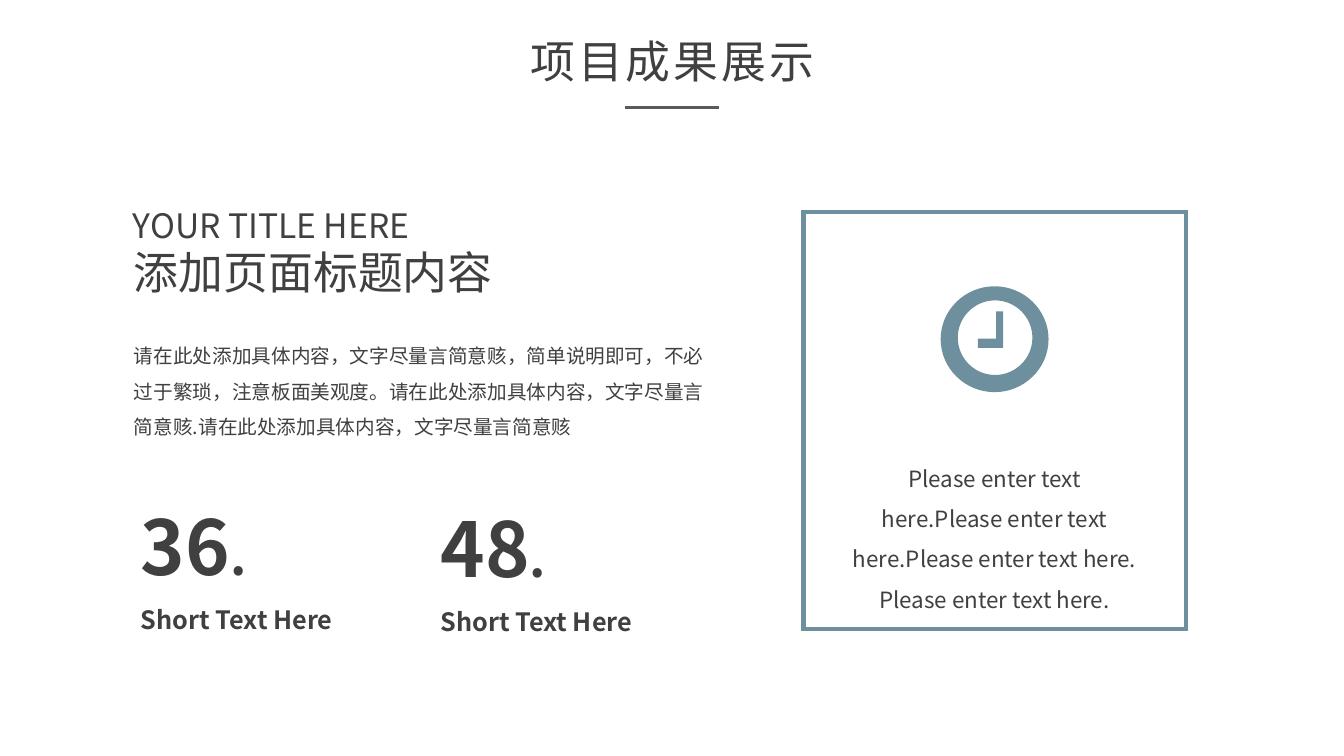
from lxml import etree
from pptx import Presentation
from pptx.dml.color import RGBColor
from pptx.enum.shapes import MSO_CONNECTOR, MSO_SHAPE
from pptx.enum.text import MSO_AUTO_SIZE as AUTO, PP_ALIGN as ALIGN
from pptx.oxml.ns import qn
from pptx.util import Inches, Pt

FONT = "Noto Sans CJK SC"
COLORS = {name: RGBColor.from_string(value) for name, value in {
    "text": "404040", "rule": "595959", "accent": "6E8F9E"}.items()}

prs = Presentation()
prs.slide_width, prs.slide_height = Inches(13.33), Inches(7.5)
slide = prs.slides.add_slide(prs.slide_layouts[6])


def add_text(box, runs, align=ALIGN.LEFT, bold=False, spacing=None,
             auto_size=AUTO.SHAPE_TO_FIT_TEXT, wrap=True):
    frame = slide.shapes.add_textbox(*map(Inches, box)).text_frame
    frame.word_wrap = wrap
    frame.auto_size = auto_size
    paragraph = frame.paragraphs[0]
    paragraph.alignment = align
    if spacing:
        paragraph.line_spacing = spacing
    font = paragraph.font
    font.name, font.bold = FONT, bold
    font.color.rgb = COLORS["text"]
    defaults = paragraph._p.pPr.find(qn("a:defRPr"))
    etree.SubElement(defaults, qn("a:ea")).set("typeface", FONT)
    if len(runs) == 1:
        font.size = Pt(runs[0][1])
    for text, size in runs:
        run = paragraph.add_run()
        run.text = text
        if len(runs) > 1:
            run.font.size = Pt(size)
    return frame


def circle_outline(x, y, rx, ry):
    k = 0.55
    steps = [(0, 1), (-k, 1), (-1, k), (-1, 0), (-1, -k), (-k, -1), (0, -1),
             (k, -1), (1, -k), (1, 0), (1, k), (k, 1), (0, 1)]
    return [(x + rx * dx, y + ry * dy) for dx, dy in steps]


heading = add_text((4.79, 0.3, 3.76, 0.61), [("项目成果展示", 32)], ALIGN.CENTER)
heading.margin_left = heading.margin_right = Inches(0.07)
heading.margin_top = heading.margin_bottom = Inches(0.03)
heading.paragraphs[0]._p.pPr.find(qn("a:defRPr")).set("spc", "225")

heading_rule = slide.shapes.add_connector(
    MSO_CONNECTOR.STRAIGHT, Inches(6.2), Inches(1.07), Inches(7.13), Inches(1.07))
heading_rule.line.color.rgb = COLORS["rule"]
heading_rule.line.width = Pt(2.25)
etree.SubElement(heading_rule._element.spPr, qn("a:effectLst"))

card = slide.shapes.add_shape(
    MSO_SHAPE.RECTANGLE, Inches(7.97), Inches(2.1), Inches(3.79), Inches(4.14))
card.shadow.inherit = False
card.fill.background()
card.line.color.rgb = COLORS["accent"]
card.line.width = Pt(3)
card_border = card._element.spPr.find(qn("a:ln"))
etree.SubElement(card_border, qn("a:miter")).set("lim", "800000")

add_text((1.23, 2.38, 3.79, 0.64), [("添加页面标题内容", 32)], wrap=False)
add_text((1.22, 1.98, 3.02, 0.36), [("YOUR TITLE HERE", 24)], ALIGN.JUSTIFY,
         auto_size=AUTO.NONE)
add_text((1.23, 3.25, 5.91, 1.12), [(
    "请在此处添加具体内容，文字尽量言简意赅，简单说明即可，不必过于繁琐，"
    "注意板面美观度。请在此处添加具体内容，文字尽量言简意赅."
    "请在此处添加具体内容，文字尽量言简意赅", 14)], spacing=1.5)

for figure, left, top in [("36", 1.3, 4.91), ("48", 4.27, 4.93)]:
    add_text((left, top, 2.48, 1.01), [(figure, 54), (".", 36)], bold=True)
    add_text((left, top + 1.04, 2.32, 0.4), [("Short Text Here", 18)], bold=True)

add_text((8.31, 4.43, 3.11, 1.27), [(
    "Please enter text here.Please enter text here.Please enter text here. "
    "Please enter text here.", 16)], ALIGN.CENTER, spacing=1.5)

rim = circle_outline(9.865, 3.365, 0.535, 0.525)
face = circle_outline(9.87, 3.35, 0.37, 0.37)
hands = [(9.88, 3.09), (9.95, 3.09), (9.95, 3.45), (9.7, 3.45), (9.7, 3.36),
         (9.88, 3.36)]
rim, face, hands = [[(Inches(x), Inches(y)) for x, y in outline]
                    for outline in (rim, face, hands)]
builder = slide.shapes.build_freeform(*rim[0])
builder.add_line_segments(rim[1:], close=True)
for outline in (face, hands):
    builder.move_to(*outline[0])
    builder.add_line_segments(outline[1:], close=True)
clock = builder.convert_to_shape()
clock.shadow.inherit = False
clock.fill.solid()
clock.fill.fore_color.rgb = COLORS["accent"]
clock.line.fill.background()

circle_lines = list(clock._element.iter(qn("a:lnTo")))[:len(rim) + len(face) - 2]
for first in range(0, len(circle_lines), 3):
    curve = etree.Element(qn("a:cubicBezTo"))
    circle_lines[first].addprevious(curve)
    for line in circle_lines[first:first + 3]:
        curve.append(line[0])
        line.getparent().remove(line)

prs.save("out.pptx")
